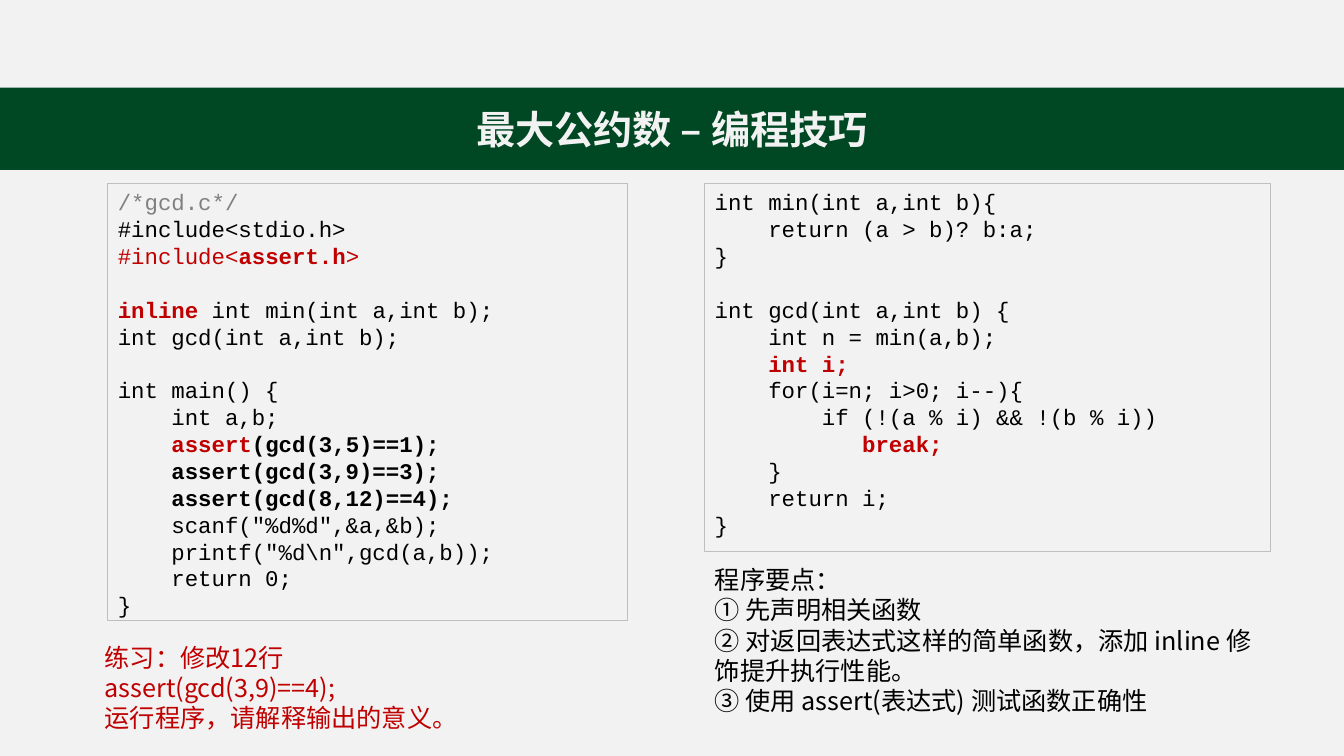
from dataclasses import dataclass

from pptx import Presentation
from pptx import util as u
from pptx.dml.color import RGBColor
from pptx.enum import shapes, text
from pptx.oxml.ns import qn

COLORS = {
    "page": "F2F2F2",
    "band": "004723",
    "border": "BFBFBF",
    "ink": "000000",
    "comment": "808080",
    "accent": "C00000",
}
CODE_FONT = "Courier New"
TEXT_FONT = "Noto Sans CJK SC"


@dataclass(frozen=True)
class Span:
    text: str
    color: str = "ink"
    bold: bool = False


@dataclass(frozen=True)
class Area:
    left: float
    top: float
    width: float
    height: float

    def lengths(self) -> list[u.Length]:
        return [u.Inches(n) for n in (self.left, self.top, self.width, self.height)]


@dataclass(frozen=True)
class CodePanel:
    area: Area
    lines: list[list[Span]]


def plain(code: str) -> list[list[Span]]:
    return [[Span(line)] if line else [] for line in code.split("\n")]


PANELS = [
    CodePanel(Area(1.07, 1.82, 5.15, 4.34), [
        [Span("/*gcd.c*/", "comment")],
        [Span("#include<stdio.h>")],
        [Span("#include<", "accent"), Span("assert.h", "accent", True), Span(">", "accent")],
        [],
        [Span("inline", "accent", True), Span(" int min(int a,int b);")],
        *plain("int gcd(int a,int b);\n\nint main() {\n    int a,b;"),
        [Span("    assert", "accent", True), Span("(gcd(3,5)==1);", bold=True)],
        [Span("    assert(gcd(3,9)==3);", bold=True)],
        [Span("    assert(gcd(8,12)==4);", bold=True)],
        *plain('    scanf("%d%d",&a,&b);\n    printf("%d\\n",gcd(a,b));\n    return 0;\n}'),
    ]),
    CodePanel(Area(6.99, 1.82, 5.61, 3.65), [
        *plain("int min(int a,int b){\n    return (a > b)? b:a;\n}\n"),
        *plain("int gcd(int a,int b) {\n    int n = min(a,b);"),
        [Span("    int i;", "accent", True)],
        *plain("    for(i=n; i>0; i--){\n        if (!(a % i) && !(b % i))"),
        [Span("           break;", "accent", True)],
        *plain("    }\n    return i;\n}"),
    ]),
]
POINTS = [
    "程序要点：",
    "① 先声明相关函数",
    "② 对返回表达式这样的简单函数，添加 inline 修饰提升执行性能。",
    "③ 使用 assert(表达式) 测试函数正确性",
]
EXERCISE = ["练习：修改12行 assert(gcd(3,9)==4);", "运行程序，请解释输出的意义。"]


def rgb(name: str) -> RGBColor:
    return RGBColor.from_string(COLORS[name])


def place(shape, area: Area) -> None:
    shape.left, shape.top, shape.width, shape.height = area.lengths()


def set_font(font, name: str, size: int) -> None:
    """Set size and face, for Latin and East Asian characters alike."""
    font.size = u.Pt(size)
    font.name = name
    latin = font._element.find(qn("a:latin"))
    east_asian = latin.makeelement(qn("a:ea"), {"typeface": name})
    latin.addnext(east_asian)


def write_lines(frame, lines: list[str], color: str) -> None:
    """Fill a frame with unbulleted, tightly spaced lines."""
    frame.word_wrap = True
    frame.auto_size = text.MSO_AUTO_SIZE.NONE
    frame.text = "\n".join(lines)
    for para in frame.paragraphs:
        para.space_before = u.Pt(0)
        props = para._p.get_or_add_pPr()
        props.set("marL", "0")
        props.set("indent", "0")
        props.append(props.makeelement(qn("a:buNone"), {}))
        set_font(para.font, TEXT_FONT, 18)
        para.font.color.rgb = rgb(color)


def add_code_panel(page, panel: CodePanel) -> None:
    box = page.shapes.add_shape(shapes.MSO_SHAPE.RECTANGLE, *panel.area.lengths())
    box.shadow.inherit = False
    box.fill.background()
    box.line.color.rgb = rgb("border")
    box.line.width = u.Pt(0.75)
    frame = box.text_frame
    frame.word_wrap = True
    frame.vertical_anchor = text.MSO_ANCHOR.TOP
    for index, line in enumerate(panel.lines):
        para = frame.add_paragraph() if index else frame.paragraphs[0]
        para.alignment = text.PP_ALIGN.LEFT
        set_font(para.font, CODE_FONT, 16)
        for span in line:
            run = para.add_run()
            run.text = span.text
            run.font.bold = span.bold
            run.font.color.rgb = rgb(span.color)


def add_title_band(page) -> None:
    title = page.shapes.title
    place(title, Area(0, 0.87, 13.33, 0.81))
    title.fill.solid()
    title.fill.fore_color.rgb = rgb("band")
    title.line.color.rgb = rgb("band")
    title.line.width = u.Pt(1)
    frame = title.text_frame
    frame.text = "最大公约数 – 编程技巧"
    frame.auto_size = text.MSO_AUTO_SIZE.NONE
    frame.vertical_anchor = text.MSO_ANCHOR.MIDDLE
    para = frame.paragraphs[0]
    para.alignment = text.PP_ALIGN.CENTER
    set_font(para.font, TEXT_FONT, 28)
    para.font.bold = True
    para.font.color.rgb = rgb("page")


def main() -> None:
    deck = Presentation()
    deck.slide_width, deck.slide_height = u.Inches(13.33), u.Inches(7.5)
    page = deck.slides.add_slide(deck.slide_layouts[1])
    page.background.fill.solid()
    page.background.fill.fore_color.rgb = rgb("page")

    header = page.shapes.add_shape(
        shapes.MSO_SHAPE.RECTANGLE, *Area(0, 0, 13.33, 0.87).lengths())
    header.shadow.inherit = False
    header.fill.solid()
    header.fill.fore_color.rgb = rgb("page")
    header.line.fill.background()
    add_title_band(page)

    points = page.placeholders[1]
    place(points, Area(6.99, 5.55, 5.61, 1.53))
    write_lines(points.text_frame, POINTS, "ink")
    for panel in PANELS:
        add_code_panel(page, panel)
    exercise = page.shapes.add_textbox(*Area(0.94, 6.32, 4.23, 0.71).lengths())
    write_lines(exercise.text_frame, EXERCISE, "accent")
    deck.save("out.pptx")


if __name__ == "__main__":
    main()
